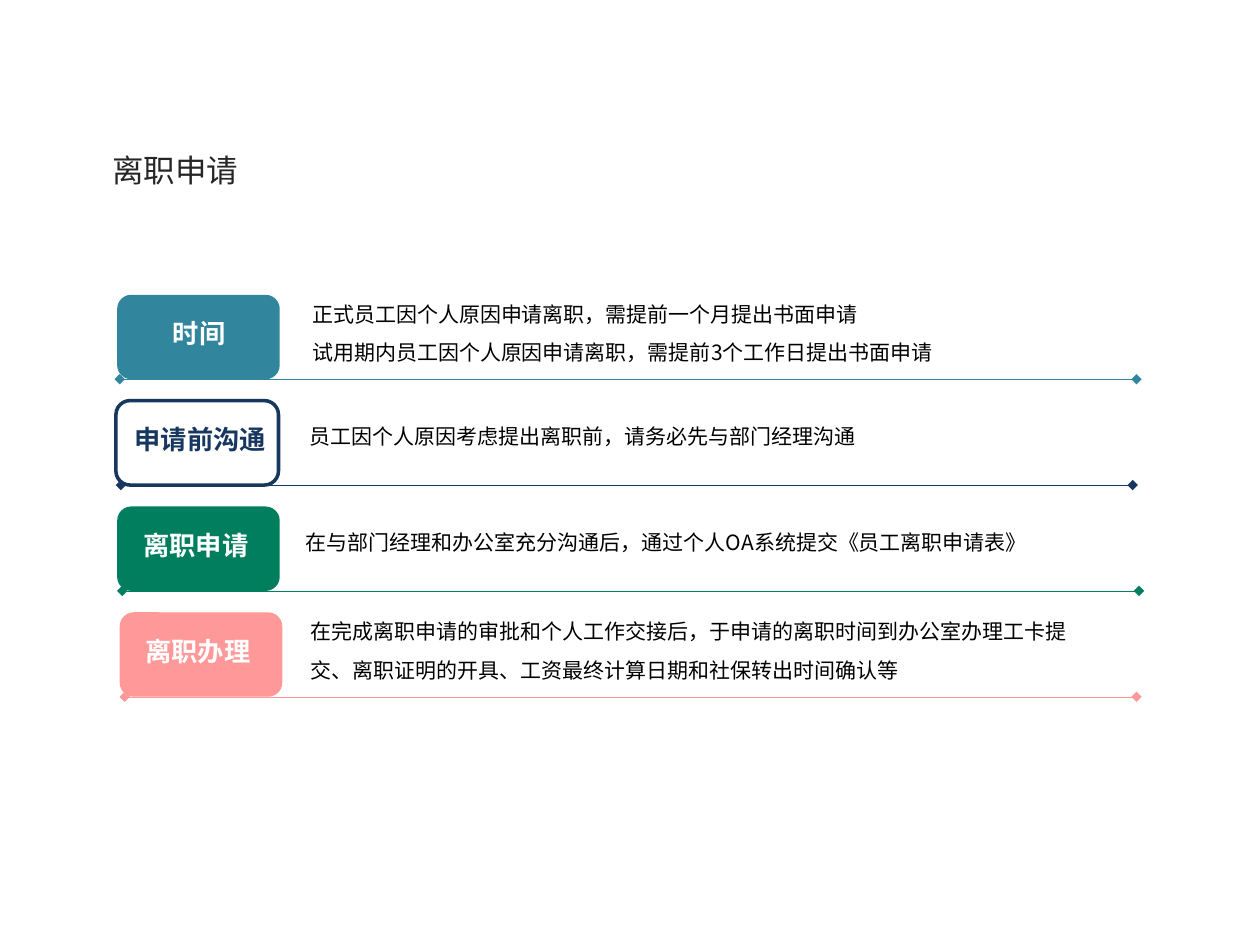
from dataclasses import dataclass
from typing import Optional

from lxml import etree
from pptx import Presentation
from pptx import util as u
from pptx.dml.color import RGBColor
from pptx.enum import dml, shapes, text
from pptx.oxml.ns import qn


@dataclass(frozen=True)
class Theme:
    font: str = "Noto Sans CJK SC"
    title: str = "262626"
    body: str = "000000"
    white: str = "FFFFFF"
    teal: str = "31859C"
    navy: str = "17375E"
    green: str = "007E5D"
    pink: str = "FF9999"
    title_pt: int = 18
    label_pt: int = 15
    body_pt: int = 12
    leading_pt: int = 11
    rule_pt: float = 0.25
    outline_pt: int = 2


@dataclass(frozen=True)
class Step:
    label: str
    lines: tuple[str, ...]
    color: str
    box_x: float
    label_x: float
    label_w: float
    body_x: float
    body_w: float
    rule_x: tuple[float, float]
    outlined: bool = False


T = Theme()
TOP, PITCH = 2.34, 0.84
BOX_W, BOX_H = 1.29, 0.67
LABEL_DY, LABEL_H = 0.13, 0.35

STEPS = (
    Step("时间",
         ("正式员工因个人原因申请离职，需提前一个月提出书面申请",
          "试用期内员工因个人原因申请离职，需提前3个工作日提出书面申请"),
         T.teal, 0.93, 1.27, 0.62, 2.38, 6.7, (0.95, 9.02)),
    Step("申请前沟通",
         ("员工因个人原因考虑提出离职前，请务必先与部门经理沟通",),
         T.navy, 0.92, 0.97, 1.24, 2.36, 5.1, (0.96, 8.99), outlined=True),
    Step("离职申请",
         ("在与部门经理和办公室充分沟通后，通过个人OA系统提交《员工离职申请表》",),
         T.green, 0.93, 1.04, 1.03, 2.33, 6.22, (0.97, 9.04)),
    Step("离职办理",
         ("在完成离职申请的审批和个人工作交接后，于申请的离职时间到办公室办理工卡提",
          "交、离职证明的开具、工资最终计算日期和社保转出时间确认等"),
         T.pink, 0.95, 1.05, 1.04, 2.37, 6.66, (0.99, 9.02)),
)


def apply(target, values: dict) -> None:
    for name, value in values.items():
        setattr(target, name, value)


def place(sp, x: float, y: float, w: float, h: float) -> None:
    apply(sp, dict(left=u.Inches(x), top=u.Inches(y),
                   width=u.Inches(w), height=u.Inches(h)))


def write(sp, lines: tuple[str, ...], size: int, color: str, wrap: bool = True,
          bold: bool = False, align=text.PP_ALIGN.LEFT,
          leading: Optional[int] = None) -> None:
    tf = sp.text_frame
    apply(tf, dict(word_wrap=wrap, vertical_anchor=text.MSO_ANCHOR.TOP,
                   auto_size=text.MSO_AUTO_SIZE.NONE))
    for i, line in enumerate(lines):
        p = tf.paragraphs[0] if i == 0 else tf.add_paragraph()
        p.alignment = align
        if leading:
            p.line_spacing = u.Pt(leading)
            p.space_before = u.Pt(leading if i else 0)
        r = p.add_run()
        r.text = line
        apply(r.font, dict(name=T.font, size=u.Pt(size), bold=bold))
        r.font.color.rgb = RGBColor.from_string(color)
        # East Asian typeface
        ea = etree.SubElement(r.font._element, qn("a:ea"))
        ea.set("typeface", T.font)


def add_box(s, step: Step, y: float) -> None:
    sp = s.shapes.add_shape(shapes.MSO_SHAPE.ROUNDED_RECTANGLE,
                            u.Inches(step.box_x), u.Inches(y),
                            u.Inches(BOX_W), u.Inches(BOX_H))
    sp.shadow.inherit = False
    color = RGBColor.from_string(step.color)
    if step.outlined:
        sp.fill.background()
        sp.line.color.rgb = color
        sp.line.width = u.Pt(T.outline_pt)
    else:
        sp.fill.solid()
        sp.fill.fore_color.rgb = color
        sp.line.fill.background()


def add_rule(s, step: Step, y: float) -> None:
    x1, x2 = step.rule_x
    ln = s.shapes.add_connector(shapes.MSO_CONNECTOR.STRAIGHT, u.Inches(x1),
                                u.Inches(y), u.Inches(x2), u.Inches(y))
    ln.line.color.rgb = RGBColor.from_string(step.color)
    apply(ln.line, dict(width=u.Pt(T.rule_pt),
                        dash_style=dml.MSO_LINE.ROUND_DOT))
    # Diamond ends, no shadow
    for end in ("a:headEnd", "a:tailEnd"):
        etree.SubElement(ln.line._get_or_add_ln(), qn(end)).set("type", "diamond")
    etree.SubElement(ln._element.spPr, qn("a:effectLst"))


def add_step(s, step: Step, y: float) -> None:
    add_box(s, step, y)
    label = s.shapes.add_textbox(0, 0, 0, 0)
    place(label, step.label_x, y + LABEL_DY, step.label_w, LABEL_H)
    write(label, (step.label,), T.label_pt,
          step.color if step.outlined else T.white,
          wrap=False, bold=True, align=text.PP_ALIGN.CENTER)

    double = len(step.lines) > 1
    dy, h = (0.05, 0.56) if double else (0.13, 0.3)
    body = s.shapes.add_textbox(0, 0, 0, 0)
    place(body, step.body_x, y + dy, step.body_w, h)
    write(body, step.lines, T.body_pt, T.body,
          leading=T.leading_pt if double else None)
    add_rule(s, step, y + BOX_H)


def main() -> None:
    prs = Presentation()
    apply(prs, dict(slide_width=u.Inches(10), slide_height=u.Inches(7.5)))
    s = prs.slides.add_slide(prs.slide_layouts[5])

    # Heading, wide enough for one line
    place(s.shapes.title, 0.79, 1.15, 1.4, 0.4)
    write(s.shapes.title, ("离职申请",), T.title_pt, T.title)

    # Resignation steps
    for i, step in enumerate(STEPS):
        add_step(s, step, TOP + i * PITCH)
    prs.save("out.pptx")


if __name__ == "__main__":
    main()
